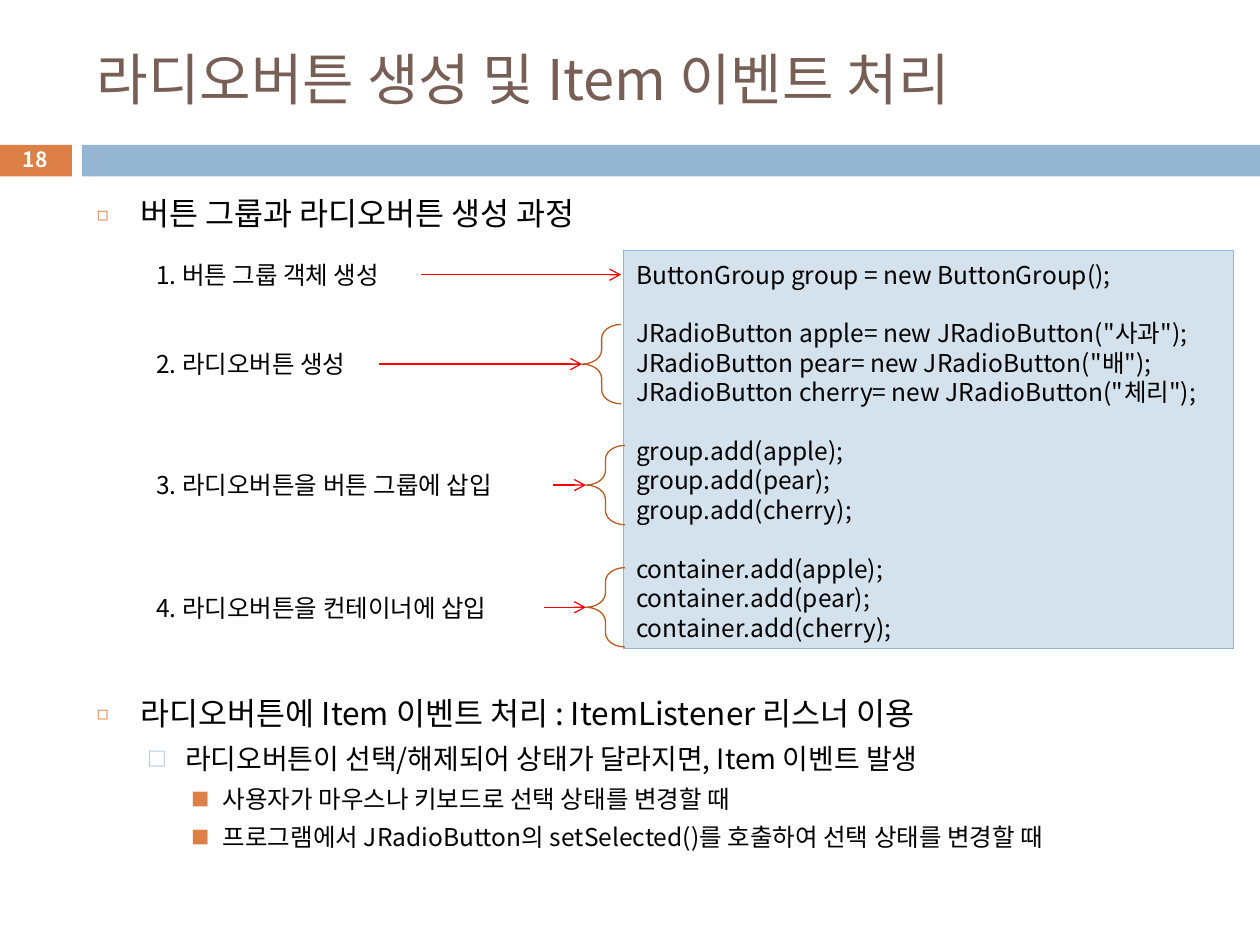
from dataclasses import dataclass

from lxml.etree import SubElement
from pptx import Presentation
from pptx.dml.color import RGBColor
from pptx.enum.shapes import MSO_CONNECTOR as Link, MSO_SHAPE as Preset
from pptx.enum.text import MSO_ANCHOR as Anchor, PP_ALIGN as Align
from pptx.oxml.ns import qn
from pptx.util import Inches, Pt


@dataclass(frozen=True)
class Theme:
    font: str = "Noto Sans CJK KR"
    ink: str = "000000"
    title: str = "775F55"
    white: str = "FFFFFF"
    orange: str = "DD8047"
    blue: str = "94B6D2"
    code_fill: str = "D4E2ED"
    brace: str = "B95B22"
    arrow: str = "FF0000"
    title_size: float = 32
    number_size: float = 12
    small_size: float = 14
    leading: float = 1.2
    thin: float = 0.75


THEME = Theme()

TITLE = "라디오버튼 생성 및 Item 이벤트 처리"
PAGE_NUMBER = "18"

# level, space before (pt), text
BODY = [
    (0, 0, "버튼 그룹과 라디오버튼 생성 과정"),
    (0, 264, "라디오버튼에 Item 이벤트 처리 : ItemListener 리스너 이용"),
    (1, 5.5, "라디오버튼이 선택/해제되어 상태가 달라지면, Item 이벤트 발생"),
    (2, 5, "사용자가 마우스나 키보드로 선택 상태를 변경할 때"),
    (2, 5, "프로그램에서 JRadioButton의 setSelected()를 호출하여 선택 상태를 변경할 때"),
]
# size, left margin, hanging indent, bullet, bullet colour, bullet size %
LEVELS = [
    (18, 0.35, 0.35, "◻", THEME.orange, 60),
    (16, 0.7, 0.3, "□", THEME.blue, 70),
    (14, 1, 0.25, "■", THEME.orange, 75),
]
# label, top, label width, left of brace (None: arrow goes straight to the code)
STEPS = [
    ("1. 버튼 그룹 객체 생성", 2.01, 2.2, None),
    ("2. 라디오버튼 생성", 2.72, 1.87, 4.62),
    ("3. 라디오버튼을 버튼 그룹에 삽입", 3.68, 3.25, 4.65),
    ("4. 라디오버튼을 컨테이너에 삽입", 4.65, 3.18, 4.65),
]
CODE = [
    ["ButtonGroup group = new ButtonGroup();"],
    [
        'JRadioButton apple= new JRadioButton("사과");',
        'JRadioButton pear= new JRadioButton("배");',
        'JRadioButton cherry= new JRadioButton("체리");',
    ],
    ["group.add(apple);", "group.add(pear);", "group.add(cherry);"],
    ["container.add(apple);", "container.add(pear);", "container.add(cherry);"],
]

LABEL_LEFT, LABEL_HEIGHT = 1.14, 0.34
BRACE_WIDTH, BRACE_HEIGHT = 0.31, 0.63
ARROW_END = 4.93


def rgb(code):
    return RGBColor.from_string(code)


def place(box):
    return [Inches(length) for length in box]


def write(paragraph, text, size=THEME.small_size, color=THEME.ink, bold=False,
          align=Align.LEFT, before=0, leading=None):
    paragraph.alignment = align
    paragraph.space_before = Pt(before)
    if leading:
        paragraph.line_spacing = Pt(size * leading)
    run = paragraph.add_run()
    run.text = text
    run.font.size, run.font.bold = Pt(size), bold
    run.font.color.rgb = rgb(color)
    run.font.name = THEME.font
    SubElement(run.font._element, qn("a:ea"), typeface=THEME.font)


def set_frame(shape, anchor=Anchor.TOP, top_inset=0.05):
    frame = shape.text_frame
    frame.word_wrap = True
    frame.vertical_anchor = anchor
    frame.margin_top = Inches(top_inset)
    return frame


def add_text(slide, box, text, anchor=Anchor.MIDDLE, **style):
    shape = slide.shapes.add_textbox(*place(box))
    write(set_frame(shape, anchor).paragraphs[0], text, **style)
    return shape


def add_preset(slide, preset, box, fill=None, line=None):
    shape = slide.shapes.add_shape(preset, *place(box))
    shape.shadow.inherit = False
    if fill:
        shape.fill.solid()
        shape.fill.fore_color.rgb = rgb(fill)
    else:
        shape.fill.background()
    if line:
        shape.line.color.rgb = rgb(line)
        shape.line.width = Pt(THEME.thin)
    else:
        shape.line.fill.background()
    return shape


def next_paragraph(frame, index):
    return frame.add_paragraph() if index else frame.paragraphs[0]


def set_bullet(paragraph, margin, hanging, mark, color, percent):
    props = paragraph._p.get_or_add_pPr()
    props.set("marL", str(Inches(margin)))
    props.set("indent", str(-Inches(hanging)))
    SubElement(SubElement(props, qn("a:buClr")), qn("a:srgbClr"), val=color)
    SubElement(props, qn("a:buSzPct"), val=str(percent * 1000))
    SubElement(props, qn("a:buFont"), typeface=THEME.font)
    SubElement(props, qn("a:buChar"), char=mark)


def add_body(slide):
    shape = slide.shapes.add_textbox(*place((0.67, 1.47, 8.92, 5.51)))
    frame = set_frame(shape, top_inset=0.07)
    for index, (level, before, text) in enumerate(BODY):
        size, *bullet = LEVELS[level]
        paragraph = next_paragraph(frame, index)
        paragraph.level = level
        write(paragraph, text, size=size, before=before, leading=THEME.leading)
        set_bullet(paragraph, *bullet)


def add_code(slide):
    """Code panel; each group after the first starts one line lower."""
    panel = add_preset(slide, Preset.RECTANGLE, (4.95, 1.99, 4.84, 3.16),
                       THEME.code_fill, THEME.blue)
    frame = set_frame(panel, top_inset=0.07)
    lines = [(group, row, text) for group, rows in enumerate(CODE)
             for row, text in enumerate(rows)]
    for index, (group, row, text) in enumerate(lines):
        gap = THEME.small_size * THEME.leading if group and not row else 0
        write(next_paragraph(frame, index), text, before=gap, leading=THEME.leading)


def add_step(slide, text, top, width, brace_left):
    """Numbered label with its arrow, and a brace where the code has several lines."""
    middle = top + LABEL_HEIGHT / 2
    label = add_text(slide, (LABEL_LEFT, top, width, LABEL_HEIGHT), text)
    arrow = slide.shapes.add_connector(
        Link.STRAIGHT, *place((LABEL_LEFT + width, middle, ARROW_END, middle)))
    arrow.begin_connect(label, 3)
    if brace_left:
        brace = add_preset(
            slide, Preset.LEFT_BRACE,
            (brace_left, middle - BRACE_HEIGHT / 2, BRACE_WIDTH, BRACE_HEIGHT),
            line=THEME.brace)
        brace.adjustments[0] = 0.36
        arrow.end_connect(brace, 1)
    arrow.line.color.rgb = rgb(THEME.arrow)
    arrow.line.width = Pt(THEME.thin)
    SubElement(arrow.line._get_or_add_ln(), qn("a:tailEnd"), type="arrow")
    SubElement(arrow._element.spPr, qn("a:effectLst"))


def main():
    deck = Presentation()
    deck.slide_width, deck.slide_height = Inches(10), Inches(7.5)
    slide = deck.slides.add_slide(deck.slide_layouts[6])

    add_preset(slide, Preset.RECTANGLE, (-0.01, 1.15, 0.58, 0.25), THEME.orange)
    add_preset(slide, Preset.RECTANGLE, (0.65, 1.15, 9.35, 0.25), THEME.blue)
    add_text(slide, (0.67, 0.25, 8.92, 0.74), TITLE,
             size=THEME.title_size, color=THEME.title)
    add_body(slide)
    add_text(slide, (-0.01, 1.13, 0.58, 0.27), PAGE_NUMBER, size=THEME.number_size,
             color=THEME.white, bold=True, align=Align.CENTER)
    add_code(slide)
    for step in STEPS:
        add_step(slide, *step)
    deck.save("out.pptx")


if __name__ == "__main__":
    main()
